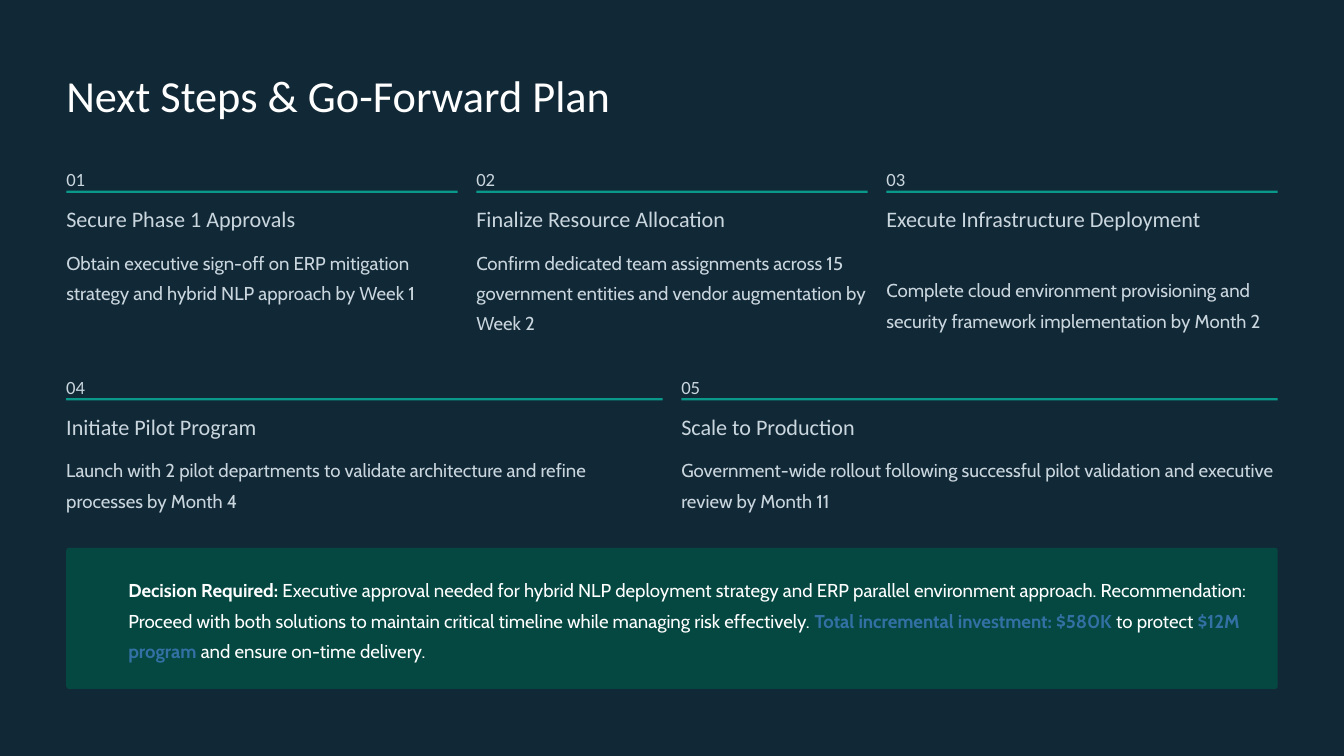
from pptx import Presentation
from pptx.dml.color import RGBColor
from pptx.enum.shapes import MSO_SHAPE
from pptx.enum.text import MSO_ANCHOR, MSO_AUTO_SIZE, PP_ALIGN
from pptx.util import Pt

RECTANGLE, ROUNDED = MSO_SHAPE.RECTANGLE, MSO_SHAPE.ROUNDED_RECTANGLE
TOP, LEFT, NO_AUTOFIT = MSO_ANCHOR.TOP, PP_ALIGN.LEFT, MSO_AUTO_SIZE.NONE

NAVY = RGBColor(0x11, 0x28, 0x36)
WHITE = RGBColor(0xFF, 0xFF, 0xFF)
MIST = RGBColor(0xCA, 0xD6, 0xDE)
TEAL = RGBColor(0x0A, 0x98, 0x8B)
GREEN = RGBColor(0x05, 0x48, 0x42)
BLUE = RGBColor(0x33, 0x71, 0xA5)

MARGIN, CONTENT_WIDTH, GAP = 56.8, 1038.4, 16


def write(shape, runs, font, size, line_spacing, wrap=True):
    """Fill a text shape with one paragraph of (text, colour, bold) runs."""
    frame = shape.text_frame
    frame.margin_left = frame.margin_right = frame.margin_top = frame.margin_bottom = 0
    frame.word_wrap = wrap
    frame.auto_size = NO_AUTOFIT
    frame.vertical_anchor = TOP
    paragraph = frame.paragraphs[0]
    paragraph.alignment = LEFT
    paragraph.line_spacing = Pt(line_spacing)
    for text, colour, bold in runs:
        run = paragraph.add_run()
        run.text = text
        run.font.name, run.font.size, run.font.bold = font, Pt(size), bold
        run.font.color.rgb = colour


def add_block(kind, left, top, width, height, colour):
    """Add a plain filled shape without outline."""
    shape = slide.shapes.add_shape(kind, Pt(left), Pt(top), Pt(width), Pt(height))
    shape.shadow.inherit = False
    shape.fill.solid()
    shape.fill.fore_color.rgb = colour
    shape.line.fill.background()
    return shape


presentation = Presentation()
presentation.slide_width, presentation.slide_height = Pt(1152), Pt(648)
slide = presentation.slides.add_slide(presentation.slide_layouts[5])
slide.background.fill.solid()
slide.background.fill.fore_color.rgb = NAVY

# Title
title = slide.shapes.title
title.left, title.top, title.width, title.height = Pt(MARGIN), Pt(56.8), Pt(690), Pt(47.5)
write(title, [("Next Steps & Go-Forward Plan", WHITE, False)], "Calibri", 38, 47.5, wrap=False)

# Steps by row: heading, heading height, description
HEADING_HEIGHT = 23.7
step_rows = [
    (137.5, [
        ("Secure Phase 1 Approvals", HEADING_HEIGHT,
         "Obtain executive sign-off on ERP mitigation strategy and hybrid NLP approach by Week 1"),
        ("Finalize Resource Allocation", HEADING_HEIGHT,
         "Confirm dedicated team assignments across 15 government entities "
         "and vendor augmentation by Week 2"),
        ("Execute Infrastructure Deployment", 2 * HEADING_HEIGHT,
         "Complete cloud environment provisioning and security framework "
         "implementation by Month 2"),
    ]),
    (315.4, [
        ("Initiate Pilot Program", HEADING_HEIGHT,
         "Launch with 2 pilot departments to validate architecture and refine "
         "processes by Month 4"),
        ("Scale to Production", HEADING_HEIGHT,
         "Government-wide rollout following successful pilot validation and "
         "executive review by Month 11"),
    ]),
]

number = 0
for top, steps in step_rows:
    width = (CONTENT_WIDTH - GAP * (len(steps) - 1)) / len(steps)
    for column, (heading, heading_height, description) in enumerate(steps):
        number += 1
        left = MARGIN + column * (width + GAP)
        add_block(RECTANGLE, left, top + 25.9, width, 2, TEAL)
        parts = [
            (f"{number:02d}", 0, 20, "Calibri", 16, 26),
            (heading, 37.8, heading_height, "Calibri", 19, 23.5),
            (description, 47.7 + heading_height, 52, "Cabin", 16, 26),
        ]
        for text, offset, height, font, size, spacing in parts:
            box = slide.shapes.add_textbox(Pt(left), Pt(top + offset), Pt(width), Pt(height))
            write(box, [(text, MIST, False)], font, size, spacing)

# Decision panel
panel = add_block(ROUNDED, MARGIN, 469.5, CONTENT_WIDTH, 121, GREEN)
panel.adjustments[0] = 0.02
decision = slide.shapes.add_textbox(Pt(110), Pt(489.6), Pt(969), Pt(78.5))
write(decision, [
    ("Decision Required:", WHITE, True),
    (" Executive approval needed for hybrid NLP deployment strategy and ERP parallel "
     "environment approach. Recommendation: Proceed with both solutions to maintain "
     "critical timeline while managing risk effectively. ", WHITE, False),
    ("Total incremental investment: $580K", BLUE, True),
    (" to protect ", WHITE, False),
    ("$12M program", BLUE, True),
    (" and ensure on-time delivery.", WHITE, False),
], "Cabin", 16, 26)

presentation.save("out.pptx")
